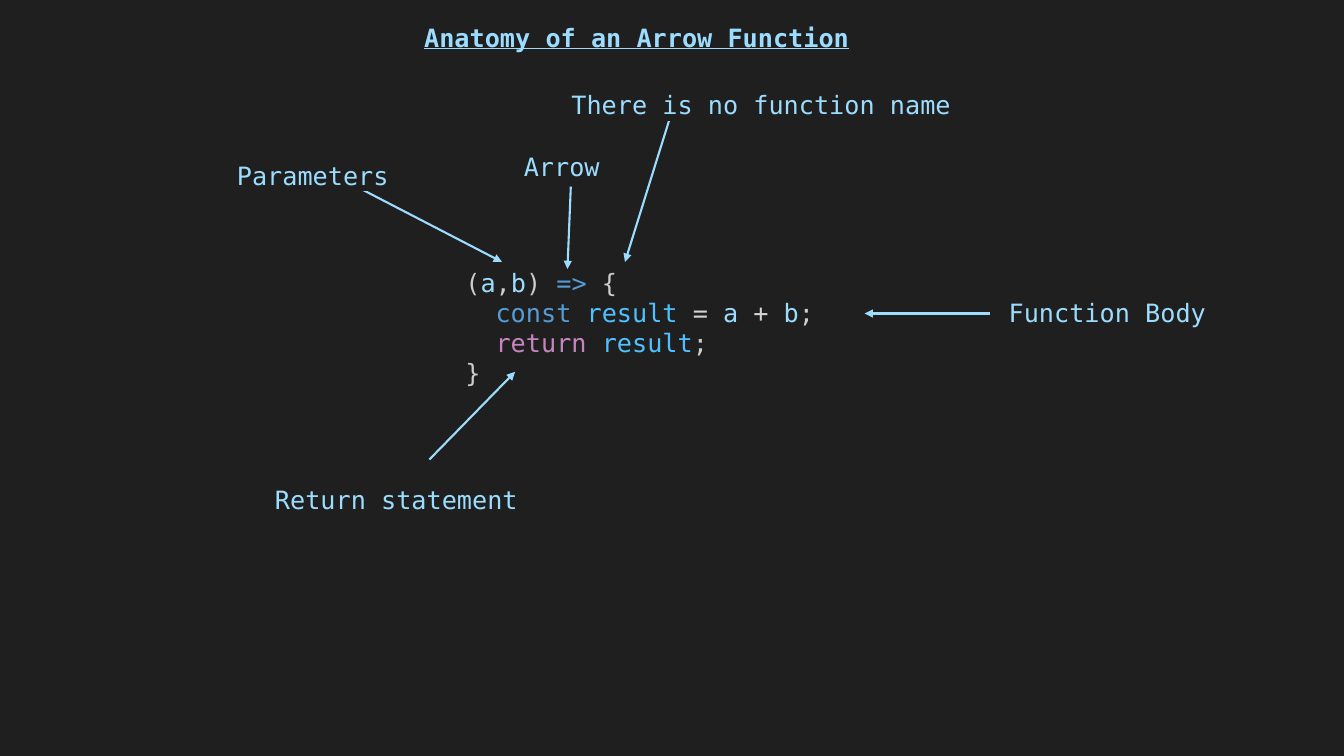
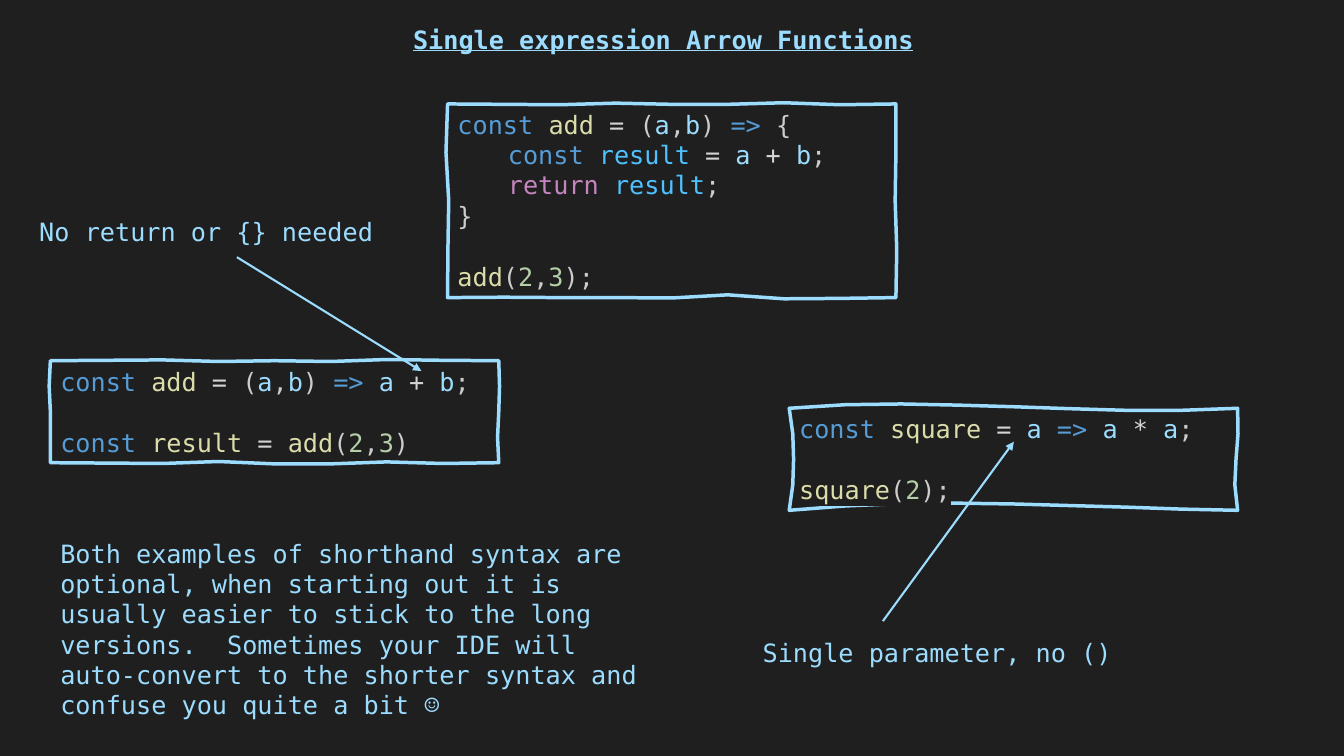
"""Build two dark slides that explain arrow functions."""
from itertools import groupby

from lxml import etree
from pptx import Presentation
from pptx.dml.color import RGBColor
from pptx.enum.shapes import MSO_CONNECTOR
from pptx.enum.text import MSO_ANCHOR, PP_ALIGN
from pptx.oxml.ns import qn
from pptx.util import Cm, Pt

STRAIGHT = MSO_CONNECTOR.STRAIGHT
TOP = MSO_ANCHOR.TOP
LEFT = PP_ALIGN.LEFT
BOTTOM_SIDE = 2

COLORS = {
    "background": "1F1F1F",
    "line": "9CDDFF",
    "variable": "9CDCFE",
    "plain": "CCCCCC",
    "operator": "D4D4D4",
    "keyword": "569CD6",
    "control": "C586C0",
    "constant": "4FC1FF",
    "function": "DCDCAA",
    "number": "B5CEA8",
}
TOKENS = {
    "const": "keyword", "=>": "keyword", "return": "control",
    "result": "constant", "add": "function", "square": "function",
    "a": "variable", "b": "variable", "2": "number", "3": "number",
    "=": "operator", "+": "operator", "*": "operator",
}
FONT = "DejaVu Sans Mono"
FONT_SIZE = Pt(18)
BLANK_LINE = 22
LABEL_HEIGHT = 1.02
MARGIN_X, MARGIN_Y = Cm(0.25), Cm(0.13)


def token_class(character):
    if character.isalnum():
        return "word"
    return "operator" if character in "=>+*" else "plain"


class Deck:
    def __init__(self):
        self.presentation = Presentation()
        self.presentation.slide_width = Cm(33.87)
        self.presentation.slide_height = Cm(19.05)
        self.slide = None

    def color(self, name):
        return RGBColor.from_string(COLORS[name])

    def add_slide(self, title, left, top, width):
        self.slide = self.presentation.slides.add_slide(self.presentation.slide_layouts[6])
        fill = self.slide.background.fill
        fill.solid()
        fill.fore_color.rgb = self.color("background")
        self.label(title, left, top, width, heading=True)

    def run(self, paragraph, text, color="variable", heading=False):
        run = paragraph.add_run()
        run.text = text
        font = run.font
        font.name, font.size = FONT, FONT_SIZE
        font.color.rgb = self.color(color)
        if heading:
            font.bold = font.underline = True
        highlight = etree.Element(qn("a:highlight"))
        etree.SubElement(highlight, qn("a:srgbClr"), val=COLORS["background"])
        run._r.get_or_add_rPr().find(qn("a:solidFill")).addnext(highlight)

    def text_box(self, left, top, width, height):
        shape = self.slide.shapes.add_textbox(Cm(left), Cm(top), Cm(width), Cm(height))
        shape.text_frame.word_wrap = True
        return shape

    def label(self, text, left, top, width, height=LABEL_HEIGHT, heading=False):
        shape = self.text_box(left, top, width, height)
        self.run(shape.text_frame.paragraphs[0], text, heading=heading)
        return shape

    def code(self, frame, lines, tokens=TOKENS):
        for index, (text, indent, space_before) in enumerate(lines):
            paragraph = frame.add_paragraph() if index else frame.paragraphs[0]
            paragraph.alignment = LEFT
            paragraph.space_before = Pt(space_before)
            if indent:
                properties = paragraph._p.get_or_add_pPr()
                properties.set("marL", str(Cm(indent)))
                properties.set("indent", "0")
            for _, characters in groupby(text, token_class):
                token = "".join(characters)
                self.run(paragraph, token, tokens.get(token, "plain"))

    def sketched_box(self, left, top, width, height, wobble, lines, tokens=TOKENS):
        upper, right, lower, left_side = ((0, *side, 0) for side in wobble)
        across = [left + width * step / (len(upper) - 1) for step in range(len(upper))]
        down = [top + height * step / (len(right) - 1) for step in range(len(right))]
        points = [(x, top + offset) for x, offset in zip(across, upper)]
        points += [(left + width + offset, y) for y, offset in zip(down, right)]
        points += [(x, top + height + offset) for x, offset in zip(across, lower)][::-1]
        points += [(left + offset, y) for y, offset in zip(down, left_side)][::-1]
        points = [(Cm(x), Cm(y)) for x, y in points]
        builder = self.slide.shapes.build_freeform(*points[0])
        builder.add_line_segments(points[1:], close=True)
        shape = builder.convert_to_shape()
        shape.shadow.inherit = False
        shape.fill.background()
        shape.line.color.rgb = self.color("line")
        shape.line.width = Pt(2.5)
        frame = shape.text_frame
        frame.word_wrap = True
        frame.vertical_anchor = TOP
        frame.margin_left = MARGIN_X + Cm(left) - shape.left
        frame.margin_top = MARGIN_Y + Cm(top) - shape.top
        frame.margin_right, frame.margin_bottom = MARGIN_X, MARGIN_Y
        self.code(frame, lines, tokens)

    def arrow(self, start, end, source=None):
        points = [Cm(value) for value in (*start, *end)]
        connector = self.slide.shapes.add_connector(STRAIGHT, *points)
        if source is not None:
            connector.begin_connect(source, BOTTOM_SIDE)
        connector.line.color.rgb = self.color("line")
        connector.line.width = Pt(1.5)
        etree.SubElement(connector.line._get_or_add_ln(), qn("a:tailEnd"), type="triangle")
        etree.SubElement(connector._element.spPr, qn("a:effectLst"))


def build_anatomy(deck):
    deck.add_slide("Anatomy of an Arrow Function", 10.44, 0.43, 11.73)
    deck.code(deck.text_box(11.48, 6.6, 10.92, 3.33).text_frame, [
        ("(a,b) => {", 0, 0),
        ("const result = a + b;", 0.76, 0),
        ("return result;", 0.76, 0),
        ("}", 0, 0),
    ])
    for start, end in (
        ((8.69, 4.55), (12.65, 6.6)),
        ((16.97, 2.69), (15.75, 6.6)),
        ((10.82, 11.58), (12.98, 9.37)),
        ((24.94, 7.9), (21.79, 7.9)),
    ):
        deck.arrow(start, end)
    for text, left, top, width in (
        ("Return statement", 6.68, 12.09, 7.98),
        ("There is no function name", 14.15, 2.13, 10.19),
        ("Function Body", 25.17, 7.37, 5.82),
        ("Parameters", 5.72, 3.91, 4.75),
    ):
        deck.label(text, left, top, width)
    arrow_label = deck.label("Arrow", 12.95, 3.68, 2.87)
    deck.arrow((14.39, 4.7), (14.3, 6.78), arrow_label)


def build_single_expression(deck):
    deck.add_slide("Single expression Arrow Functions", 10.16, 0.48, 13.56)
    deck.sketched_box(1.27, 9.09, 11.3, 2.57, (
        (-0.01, -0.02, 0.02, 0, 0.02, -0.03, -0.01),
        (0.02, 0, -0.03),
        (0.01, 0.02, -0.03, 0.03, 0.03, -0.02, 0.02),
        (-0.03, 0, 0),
    ), [
        ("const add = (a,b) => a + b;", 0, 0),
        ("const result = add(2,3)", 0, BLANK_LINE),
    ], TOKENS | {"result": "function"})
    deck.sketched_box(11.28, 2.62, 11.3, 4.88, (
        (0.01, 0.02, -0.02, 0.01, 0.01, -0.03, 0.02),
        (0, -0.02, 0.02),
        (-0.01, 0, 0, 0.01, -0.07, 0.03, 0.02),
        (-0.04, 0.03, 0.01),
    ), [
        ("const add = (a,b) => {", 0, 0),
        ("const result = a + b;", 1.27, 0),
        ("return result;", 1.27, 0),
        ("}", 0, 0),
        ("add(2,3);", 0, BLANK_LINE),
    ])
    deck.sketched_box(19.89, 10.29, 11.3, 2.57, (
        (-0.09, -0.11, -0.08, -0.04, 0.01, 0.05, 0.05),
        (0.01, -0.04, -0.07),
        (-0.11, -0.17, -0.18, -0.16, -0.12, -0.08, -0.03),
        (0.09, 0.11, 0.09),
    ), [
        ("const square = a => a * a;", 0, 0),
        ("square(2);", 0, BLANK_LINE),
    ])
    deck.label("No return or {} needed", 0.74, 5.33, 9.86)
    deck.label("Single parameter, no ()", 18.97, 15.93, 9.86)
    deck.label(
        "Both examples of shorthand syntax are optional, when starting out it is "
        "usually easier to stick to the long versions.  Sometimes your IDE will "
        "auto-convert to the shorter syntax and confuse you quite a bit ☺",
        1.27, 13.44, 15.34, 4.88)
    deck.arrow((22.25, 15.65), (25.55, 11.13))
    deck.arrow((5.97, 6.48), (10.62, 9.35))


def main():
    deck = Deck()
    build_anatomy(deck)
    build_single_expression(deck)
    deck.presentation.save("out.pptx")


if __name__ == "__main__":
    main()
